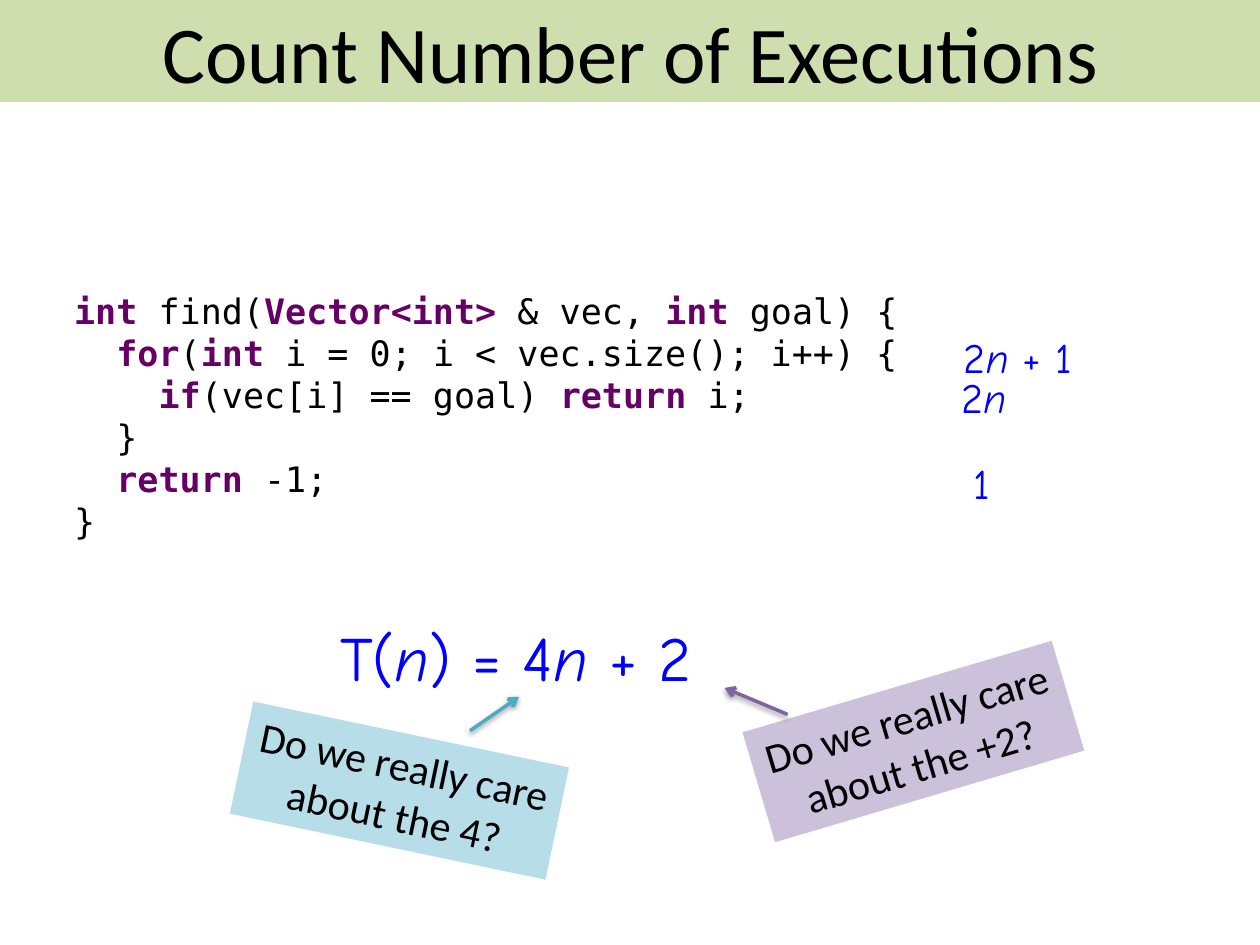
from lxml import etree
from pptx import Presentation
from pptx.dml.color import RGBColor
from pptx.enum.shapes import MSO_CONNECTOR, MSO_SHAPE
from pptx.enum.text import MSO_ANCHOR, MSO_AUTO_SIZE, PP_ALIGN
from pptx.oxml import parse_xml
from pptx.oxml.ns import nsdecls, qn
from pptx.util import Inches, Pt

# Marked stretches between asterisks get the second format
CODE = [
    "*int *find(*Vector<int>* & vec, *int *goal) {",
    "  *for*(*int *i = 0; i < vec.size(); i++) {",
    "    *if*(vec[i] == goal) *return *i;",
    "  }",
    "  *return *-1;",
    "}",
]
BLUE = "0000FF"


def color(value):
    return RGBColor.from_string(value)


def write(shape, lines, font="Calibri", size=24, fill="000000",
          marked_fill=None, bold=False, italic=False,
          align=PP_ALIGN.LEFT, fit=True):
    """Write lines; text between asterisks takes the marked format."""
    frame = shape.text_frame
    frame.word_wrap = not fit
    if fit:
        frame.auto_size = MSO_AUTO_SIZE.SHAPE_TO_FIT_TEXT
    for index, line in enumerate(lines):
        para = frame.paragraphs[0] if index == 0 else frame.add_paragraph()
        para.alignment = align
        for part, text in enumerate(line.split("*")):
            if not text:
                continue
            marked = part % 2 == 1
            span = para.add_run()
            span.text = text
            span.font.name = font
            span.font.size = Pt(size)
            span.font.bold = bold and marked
            span.font.italic = italic and marked
            span.font.color.rgb = color(marked_fill if marked and marked_fill else fill)


def add_text(page, left, top, width, height, lines, **form):
    box = page.shapes.add_textbox(Inches(left), Inches(top), Inches(width), Inches(height))
    write(box, lines, **form)


def add_formula(page, left, top, width, height, text, size=24):
    add_text(page, left, top, width, height, [text], font="Comic Neue",
             size=size, fill=BLUE, italic=True)


def add_panel(page, left, top, width, height, fill, lines, rotation=0, **form):
    panel = page.shapes.add_shape(MSO_SHAPE.RECTANGLE, Inches(left), Inches(top),
                                  Inches(width), Inches(height))
    panel.shadow.inherit = False
    panel.fill.solid()
    panel.fill.fore_color.rgb = color(fill)
    panel.line.fill.background()
    panel.rotation = rotation
    panel.text_frame.vertical_anchor = MSO_ANCHOR.TOP
    write(panel, lines, align=PP_ALIGN.CENTER, **form)
    return panel


def add_arrow(page, start, end, stroke):
    arrow = page.shapes.add_connector(MSO_CONNECTOR.STRAIGHT,
                                      *[Inches(value) for value in start + end])
    arrow.line.color.rgb = color(stroke)
    arrow.line.width = Pt(2)
    etree.SubElement(arrow.line._get_or_add_ln(), qn("a:tailEnd"), type="arrow")
    # Soft shadow straight below the line
    arrow._element.spPr.append(parse_xml(
        f'<a:effectLst {nsdecls("a")}>'
        '<a:outerShdw blurRad="40000" dist="20000" dir="5400000" rotWithShape="0">'
        '<a:srgbClr val="000000"><a:alpha val="38000"/></a:srgbClr>'
        '</a:outerShdw></a:effectLst>'))


def main():
    deck = Presentation()
    deck.slide_width, deck.slide_height = Inches(10), Inches(7.5)
    page = deck.slides.add_slide(deck.slide_layouts[6])

    # Code listing
    add_text(page, 0.49, 2.25, 6.77, 2.12, CODE, font="DejaVu Sans Mono",
             size=20, marked_fill="660066", bold=True)

    # Title band
    band = add_panel(page, 0, 0, 10, 0.81, "C3D69B",
                     ["Count Number of Executions"], size=46, fit=False)
    band.text_frame.vertical_anchor = MSO_ANCHOR.MIDDLE
    band_color = band.fill._xPr.find(qn("a:solidFill"))[0]
    etree.SubElement(band_color, qn("a:alpha"), val="80000")

    # Executions per line, and their total
    add_formula(page, 7.55, 2.58, 1.13, 0.5, "2*n *+ 1")
    add_formula(page, 7.53, 2.9, 0.59, 0.5, "2*n*")
    add_formula(page, 7.63, 3.58, 0.33, 0.5, "1")
    add_formula(page, 2.6, 4.86, 3.15, 0.71, "T(*n*) = 4*n *+ 2", size=36)

    # Tilted questions with their arrows
    for left, top, rotation, fill, term in [
        (5.97, 5.43, 343.5, "CCC1DA", "+2"),
        (1.89, 5.82, 11.8, "B7DEE8", "4"),
    ]:
        add_panel(page, left, top, 2.56, 0.91, fill,
                  ["Do we really care ", f"about the {term}?"], rotation)
    add_arrow(page, (6.25, 5.67), (5.75, 5.46), "8064A2")
    add_arrow(page, (3.73, 5.8), (4.12, 5.53), "4BACC6")

    deck.save("out.pptx")


if __name__ == "__main__":
    main()
